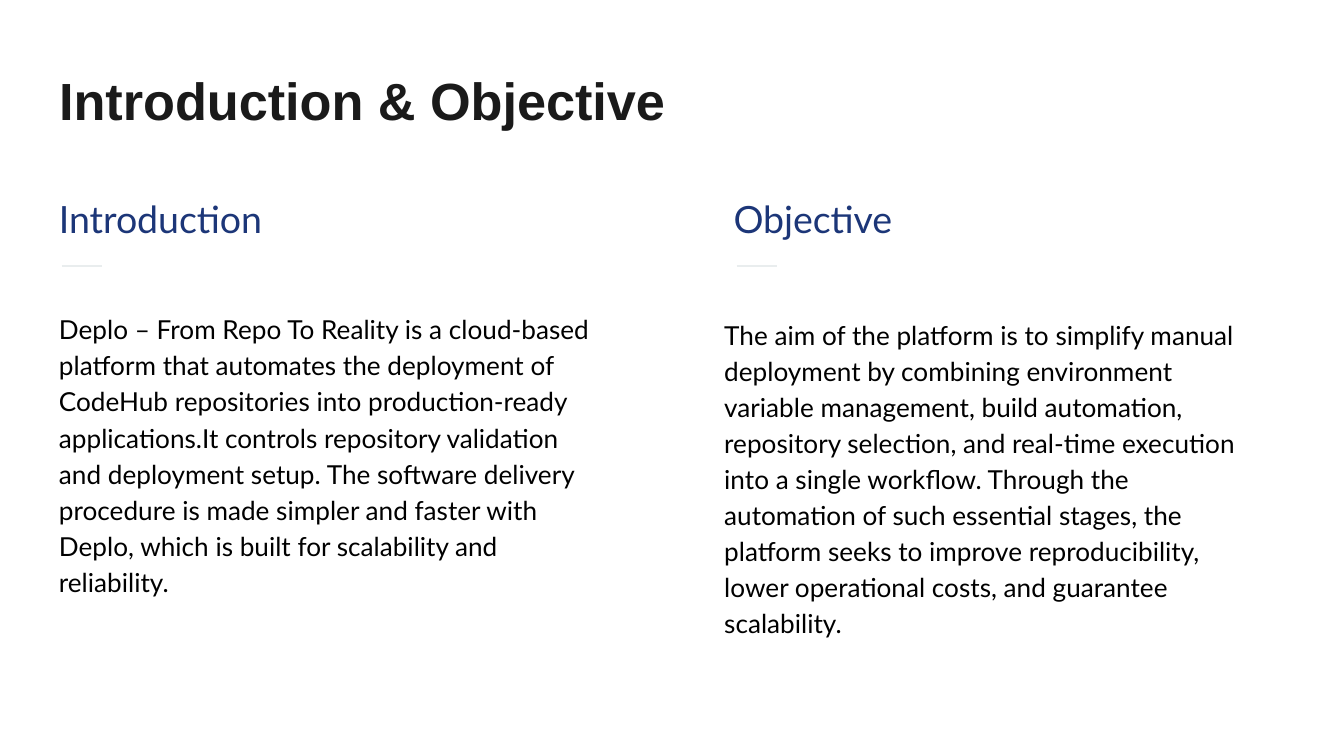
import pptx
import pptx.dml.color
import pptx.enum.shapes
import pptx.enum.text
import pptx.oxml
import pptx.util
from pptx.util import Inches

INK = pptx.dml.color.RGBColor(0x1A, 0x1A, 0x1A)
NAVY = pptx.dml.color.RGBColor(0x1C, 0x36, 0x78)
BLACK = pptx.dml.color.RGBColor(0x00, 0x00, 0x00)
PALE = pptx.dml.color.RGBColor(0xE9, 0xED, 0xEE)

TITLE_FONT = {"name": "Arial", "size": pptx.util.Pt(28), "bold": True}
HEADING_FONT = {"name": "Lato", "size": pptx.util.Pt(20.1), "bold": False}
BODY_FONT = {"name": "Lato", "size": pptx.util.Pt(14), "bold": False}
FRAME = {
    "word_wrap": True,
    "auto_size": pptx.enum.text.MSO_AUTO_SIZE.NONE,
    "vertical_anchor": pptx.enum.text.MSO_ANCHOR.TOP,
    **{f"margin_{side}": Inches(0.1) for side in ("left", "top", "right", "bottom")},
}
TITLE_PARAGRAPH = {"alignment": pptx.enum.text.PP_ALIGN.LEFT}
COLUMN_PARAGRAPH = {
    **TITLE_PARAGRAPH,
    "line_spacing": 1.15,
    "space_after": pptx.util.Pt(12),
}

COLUMN_TOP, COLUMN_WIDTH = 1.31, 4.21
COLUMNS = [
    {
        "left": 0.34,
        "heading": "Introduction",
        "body": "Deplo – From Repo To Reality is a cloud-based platform that "
                "automates the deployment of CodeHub repositories into "
                "production-ready applications.It controls repository validation "
                "and deployment setup. The software delivery procedure is made "
                "simpler and faster with Deplo, which is built for scalability "
                "and reliability.",
        "body_offset": (0, 0.89),
    },
    {
        "left": 5.36,
        "heading": "Objective",
        "body": "The aim of the platform is to simplify manual deployment by "
                "combining environment variable management, build automation, "
                "repository selection, and real-time execution into a single "
                "workflow. Through the automation of such essential stages, the "
                "platform seeks to improve reproducibility, lower operational "
                "costs, and guarantee scalability.",
        "body_offset": (-0.07, 0.93),
    },
]


def apply_format(target, values):
    for name, value in values.items():
        setattr(target, name, value)


def write_text(frame, text, font, color, paragraph_format):
    apply_format(frame, FRAME)
    paragraph = frame.paragraphs[0]
    apply_format(paragraph, paragraph_format)
    words = paragraph.add_run()
    words.text = text
    apply_format(words.font, font)
    words.font.color.rgb = color


def place_title(slide, left, top, width, height):
    title = slide.shapes.title
    box = {"left": left, "top": top, "width": width, "height": height}
    apply_format(title, {side: Inches(value) for side, value in box.items()})
    write_text(title.text_frame, "Introduction & Objective",
               TITLE_FONT, INK, TITLE_PARAGRAPH)


def place_column(slide, left, top, width, heading, body, body_offset):
    heading_box = slide.shapes.add_textbox(
        Inches(left), Inches(top), Inches(width), Inches(0.57))
    write_text(heading_box.text_frame, heading,
               HEADING_FONT, NAVY, COLUMN_PARAGRAPH)

    rule_left, rule_top = left + 0.12, top + 0.67
    rule = slide.shapes.add_connector(
        pptx.enum.shapes.MSO_CONNECTOR.STRAIGHT,
        Inches(rule_left), Inches(rule_top),
        Inches(rule_left + 0.3), Inches(rule_top))
    rule.line.color.rgb = PALE
    rule.line.width = pptx.util.Pt(0.75)
    properties = rule._element.spPr
    properties.append(pptx.oxml.parse_xml(
        '<a:effectLst xmlns:a='
        '"http://schemas.openxmlformats.org/drawingml/2006/main"/>'))

    shift_x, shift_y = body_offset
    body_box = slide.shapes.add_textbox(
        Inches(left + shift_x), Inches(top + shift_y), Inches(width), Inches(3.01))
    write_text(body_box.text_frame, body, BODY_FONT, BLACK, COLUMN_PARAGRAPH)


def main():
    deck = pptx.Presentation()
    deck.slide_width = Inches(10)
    deck.slide_height = deck.slide_width * 9 // 16
    slide = deck.slides.add_slide(deck.slide_layouts.get_by_name("Title Only"))
    place_title(slide, 0.34, 0.41, 9.32, 0.8)
    for column in COLUMNS:
        place_column(slide, top=COLUMN_TOP, width=COLUMN_WIDTH, **column)
    deck.save("out.pptx")


if __name__ == "__main__":
    main()
